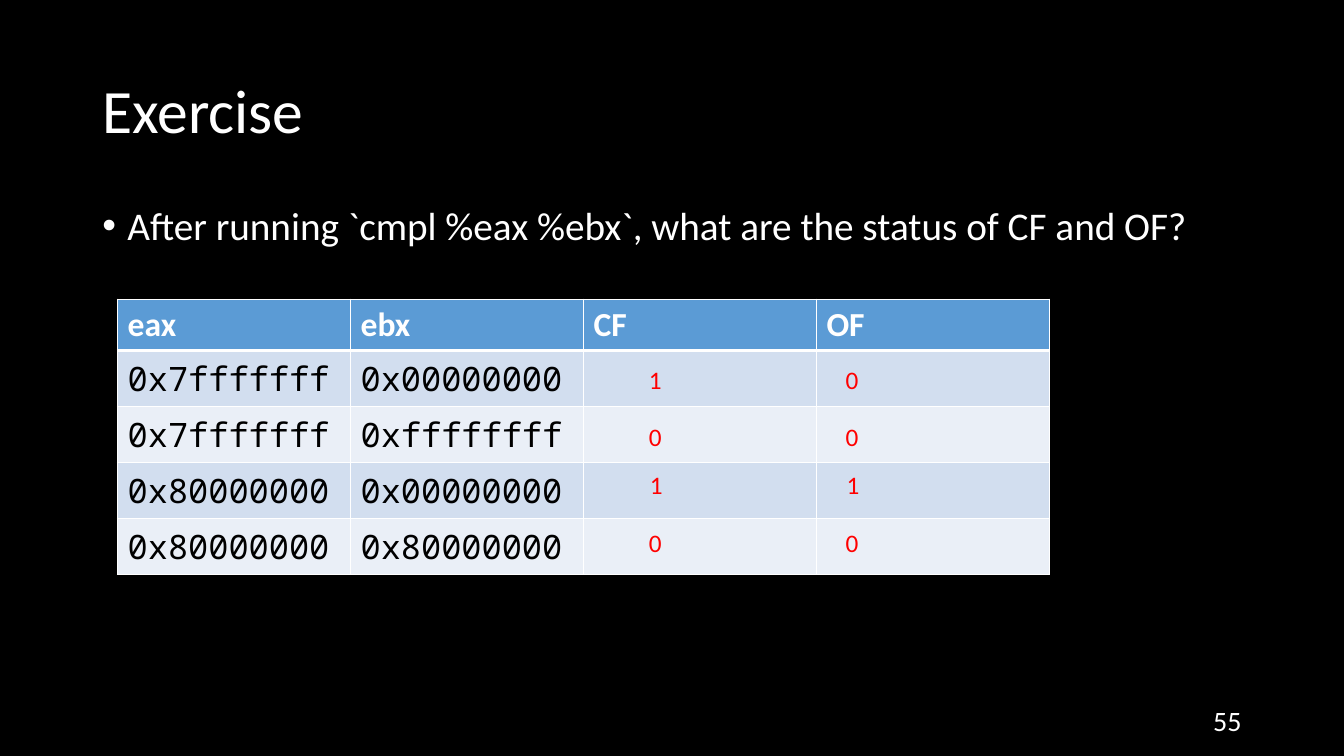
from dataclasses import dataclass
from typing import Any

from lxml import etree
from pptx import Presentation
from pptx.dml.color import RGBColor
from pptx.enum.text import MSO_ANCHOR, MSO_AUTO_SIZE, PP_ALIGN
from pptx.oxml.ns import qn
from pptx.util import Pt

TOP, MIDDLE = MSO_ANCHOR.TOP, MSO_ANCHOR.MIDDLE
LEFT, RIGHT = PP_ALIGN.LEFT, PP_ALIGN.RIGHT
FIXED, GROW = MSO_AUTO_SIZE.NONE, MSO_AUTO_SIZE.SHAPE_TO_FIT_TEXT

BLACK, WHITE, RED = "000000", "FFFFFF", "FF0000"
HEADER_BLUE = "5B9BD5"
BANDS = ("D2DEEF", "EAEFF7")
SANS, MONO = "Calibri", "Noto Sans Mono"

TABLE_LEFT, TABLE_TOP = 84, 213.8
COLUMN_WIDTH, HEADER_HEIGHT, ROW_HEIGHT = 166.4, 33.8, 39.9
ANSWER_WIDTH, ANSWER_HEIGHT, ANSWER_STEP = 23.8, 29.1, 140.4
BULLET_INDENT = 18


@dataclass(frozen=True)
class Label:
    text: str
    left: float
    top: float
    width: float
    height: float
    size: float
    color: str = WHITE
    anchor: Any = TOP
    align: Any = LEFT
    spacing: float = 1.0
    bullet: str = ""
    wrap: bool = True
    fit: Any = FIXED


@dataclass(frozen=True)
class Case:
    eax: str
    ebx: str
    flags: str
    answer_left: float
    answer_top: float


HEADINGS = ("eax", "ebx", "CF", "OF")
CASES = (
    Case("0x7fffffff", "0x00000000", "10", 456.5, 257),
    Case("0x7fffffff", "0xffffffff", "00", 456.5, 297.2),
    Case("0x80000000", "0x00000000", "11", 457.2, 331.9),
    Case("0x80000000", "0x80000000", "00", 456.5, 373),
)
LABELS = (
    Label("Exercise", 66, 28.8, 828, 104.4, 44, anchor=MIDDLE, spacing=0.9),
    Label("After running `cmpl %eax %ebx`, what are the status of CF and OF?",
          66, 144, 828, 342.7, 28, spacing=0.9, bullet="•"),
    Label("55", 678, 500.4, 216, 28.8, 20, anchor=MIDDLE, align=RIGHT),
)


def rgb(value: str) -> RGBColor:
    return RGBColor.from_string(value)


def apply(target: Any, values: dict[str, Any]) -> None:
    for name, value in values.items():
        setattr(target, name, value)


def style_font(font: Any, face: str, size: float, color: str, bold: bool = False) -> None:
    apply(font, {"name": face, "size": Pt(size), "bold": bold})
    font.color.rgb = rgb(color)


def add_bullet(paragraph: Any, symbol: str) -> None:
    properties = paragraph._p.get_or_add_pPr()
    properties.set("marL", str(Pt(BULLET_INDENT)))
    properties.set("indent", str(-Pt(BULLET_INDENT)))
    etree.SubElement(properties, qn("a:buFont"), typeface="Arial")
    etree.SubElement(properties, qn("a:buChar"), char=symbol)


def draw_label(slide: Any, label: Label) -> None:
    box = slide.shapes.add_textbox(
        Pt(label.left), Pt(label.top), Pt(label.width), Pt(label.height))
    apply(box.text_frame, {"word_wrap": label.wrap, "auto_size": label.fit,
                           "vertical_anchor": label.anchor})
    paragraph = box.text_frame.paragraphs[0]
    if label.bullet:
        add_bullet(paragraph, label.bullet)
    apply(paragraph, {"alignment": label.align, "line_spacing": label.spacing})
    run = paragraph.add_run()
    run.text = label.text
    style_font(run.font, SANS, label.size, label.color)


def add_borders(cell: Any, widths: dict[str, float]) -> None:
    properties = cell._tc.get_or_add_tcPr()
    for side, width in widths.items():
        line = etree.SubElement(properties, qn(f"a:ln{side}"), w=str(Pt(width)))
        fill = etree.SubElement(line, qn("a:solidFill"))
        etree.SubElement(fill, qn("a:srgbClr"), val=WHITE)


def draw_cell(cell: Any, text: str, row: int) -> None:
    header = row == 0
    add_borders(cell, {"L": 1, "R": 1, "T": 3 if row == 1 else 1, "B": 3 if header else 1})
    cell.fill.solid()
    cell.fill.fore_color.rgb = rgb(HEADER_BLUE if header else BANDS[(row - 1) % 2])
    if text:
        run = cell.text_frame.paragraphs[0].add_run()
        run.text = text
        face, color = (SANS, WHITE) if header else (MONO, BLACK)
        style_font(run.font, face, 24, color, header)


def draw_register_table(slide: Any) -> None:
    rows = [HEADINGS] + [(case.eax, case.ebx, "", "") for case in CASES]
    table = slide.shapes.add_table(
        len(rows), len(HEADINGS), Pt(TABLE_LEFT), Pt(TABLE_TOP),
        Pt(COLUMN_WIDTH * len(HEADINGS)),
        Pt(HEADER_HEIGHT + ROW_HEIGHT * len(CASES))).table
    for column in table.columns:
        column.width = Pt(COLUMN_WIDTH)
    for row, texts in enumerate(rows):
        table.rows[row].height = Pt(ROW_HEIGHT if row else HEADER_HEIGHT)
        for column, text in enumerate(texts):
            draw_cell(table.cell(row, column), text, row)


def draw_answers(slide: Any) -> None:
    for case in CASES:
        for index, flag in enumerate(case.flags):
            draw_label(slide, Label(
                flag, case.answer_left + index * ANSWER_STEP, case.answer_top,
                ANSWER_WIDTH, ANSWER_HEIGHT, 18, RED, wrap=False, fit=GROW))


def main() -> None:
    presentation = Presentation()
    apply(presentation, {"slide_width": Pt(960), "slide_height": Pt(540)})
    slide = presentation.slides.add_slide(presentation.slide_layouts[6])
    slide.background.fill.solid()
    slide.background.fill.fore_color.rgb = rgb(BLACK)
    for label in LABELS:
        draw_label(slide, label)
    draw_register_table(slide)
    draw_answers(slide)
    presentation.save("out.pptx")


if __name__ == "__main__":
    main()
